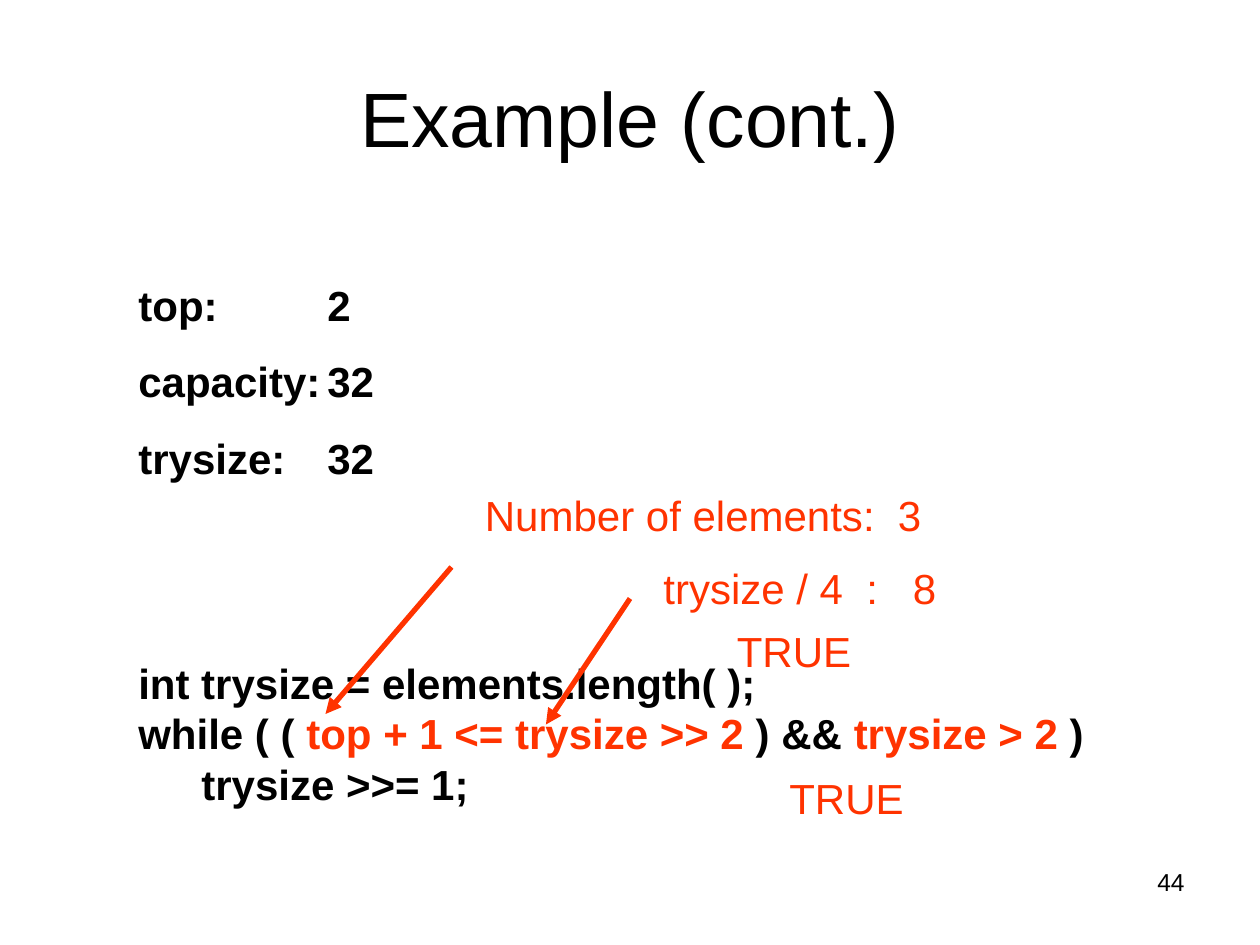
from dataclasses import dataclass

import pptx
import pptx.dml.color
import pptx.enum.shapes
import pptx.enum.text
import pptx.oxml
import pptx.oxml.ns
import pptx.util

Pt = pptx.util.Pt
Align = pptx.enum.text.PP_ALIGN
Anchor = pptx.enum.text.MSO_ANCHOR

BLACK = "000000"
ORANGE = "FF3300"


@dataclass
class Note:
    left: float
    top: float
    width: float
    height: float
    lines: list[list[tuple[str, str]]]
    size: float = 24
    bold: bool = False
    align: Align = Align.LEFT
    anchor: Anchor = Anchor.TOP
    space_before: float = 0
    indent: float = 0


@dataclass
class Arrow:
    start: tuple[float, float]
    end: tuple[float, float]


def rgb(value: str) -> pptx.dml.color.RGBColor:
    return pptx.dml.color.RGBColor.from_string(value)


def draw_note(slide, note: Note) -> None:
    box = slide.shapes.add_textbox(
        Pt(note.left), Pt(note.top), Pt(note.width), Pt(note.height)
    )
    frame = box.text_frame
    frame.word_wrap = True
    frame.vertical_anchor = note.anchor
    frame.text = "\n".join("" for _ in note.lines)
    for paragraph, line in zip(frame.paragraphs, note.lines):
        paragraph.alignment = note.align
        paragraph.space_before = Pt(note.space_before)
        if note.indent:
            properties = paragraph._p.get_or_add_pPr()
            properties.set("marL", str(Pt(note.indent)))
            properties.set("indent", "0")
        for words, colour in line:
            run = paragraph.add_run()
            run.text = words
            run.font.name = "Arial"
            run.font.size = Pt(note.size)
            run.font.bold = note.bold
            run.font.color.rgb = rgb(colour)


def draw_arrow(slide, arrow: Arrow) -> None:
    connector = slide.shapes.add_connector(
        pptx.enum.shapes.MSO_CONNECTOR.STRAIGHT,
        *(Pt(length) for length in arrow.start + arrow.end),
    )
    connector.line.color.rgb = rgb(ORANGE)
    connector.line.width = Pt(3)
    head = pptx.oxml.parse_xml(
        f'<a:tailEnd {pptx.oxml.ns.nsdecls("a")} type="triangle"/>'
    )
    connector.line._get_or_add_ln().append(head)
    effects = pptx.oxml.parse_xml(f'<a:effectLst {pptx.oxml.ns.nsdecls("a")}/>')
    connector._element.spPr.append(effects)


def callout(left: float, top: float, width: float, words: str) -> Note:
    return Note(left, top, width, 36, [[(words, ORANGE)]], space_before=15)


page_number = Note(516, 492, 168, 37.5, [[("44", BLACK)]], size=14, align=Align.RIGHT)
title = Note(
    36, 21.6, 648, 90, [[("Example (cont.)", BLACK)]],
    size=44, align=Align.CENTER, anchor=Anchor.MIDDLE,
)
code = Note(
    36, 372, 654, 137.5,
    [
        [("int trysize = elements.length( );", BLACK)],
        [
            ("while ( ( ", BLACK),
            ("top + 1 <= trysize >> 2", ORANGE),
            (" ) && ", BLACK),
            ("trysize > 2", ORANGE),
            (" )", BLACK),
        ],
        [("\ttrysize >>= 1;", BLACK)],
    ],
    bold=True, indent=36,
)
variables = Note(
    72, 156, 300, 124,
    [[(words, BLACK)] for words in ("top:\t\t2", "capacity:\t32", "trysize:\t32")],
    bold=True, space_before=15,
)
callouts = [
    callout(270, 276, 264, "Number of elements:  3"),
    callout(372, 318, 300, "trysize / 4  :   8"),
    callout(414, 354, 174, "TRUE"),
    callout(444, 438, 174, "TRUE"),
]
arrows = [Arrow((258, 324), (186, 408)), Arrow((360, 342), (312, 414))]


def main() -> None:
    deck = pptx.Presentation()
    deck.slide_width, deck.slide_height = Pt(720), Pt(540)
    slide = deck.slides.add_slide(deck.slide_layouts[6])
    for note in (page_number, title, code, variables):
        draw_note(slide, note)
    for arrow in arrows:
        draw_arrow(slide, arrow)
    for note in callouts:
        draw_note(slide, note)
    deck.save("out.pptx")


if __name__ == "__main__":
    main()
